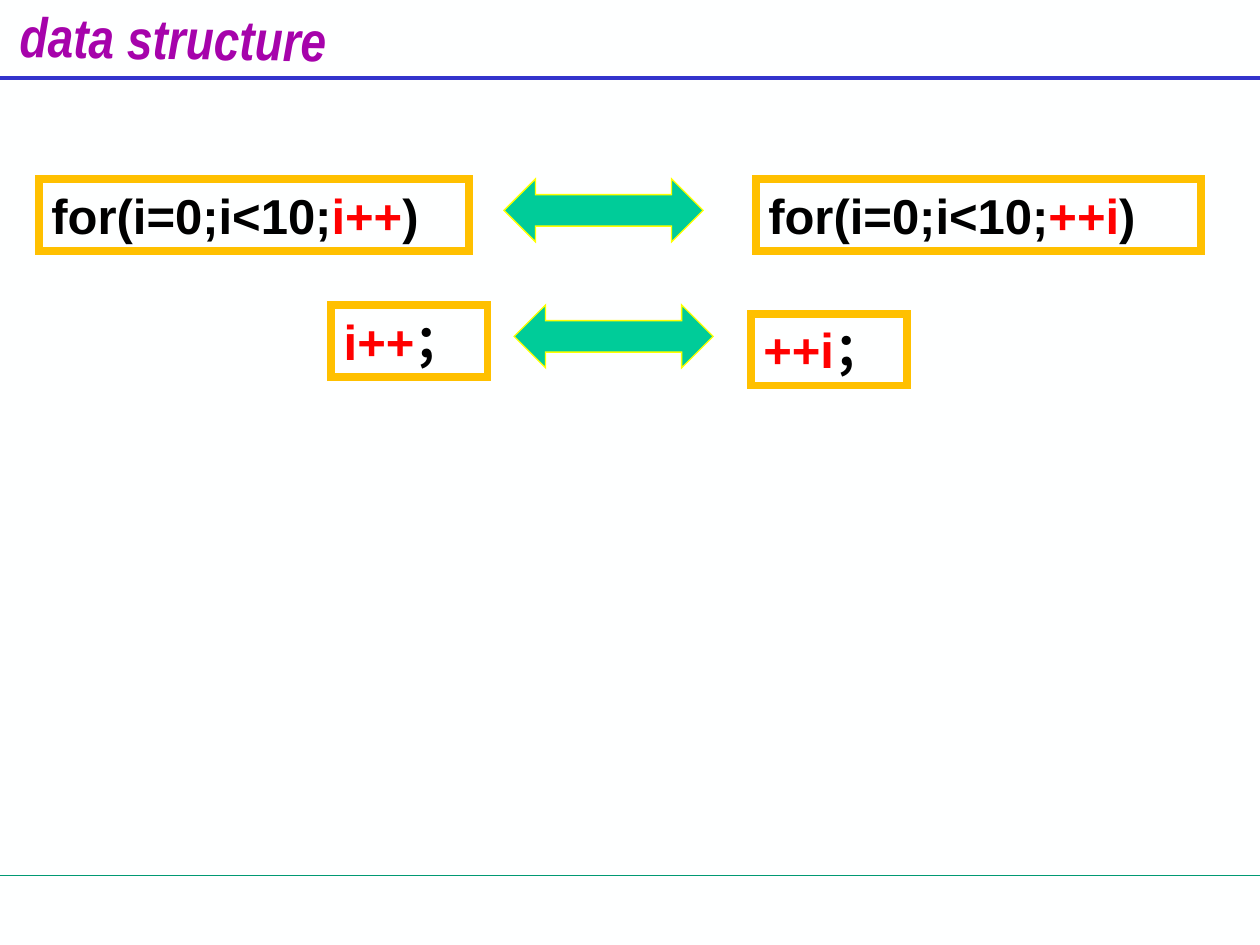
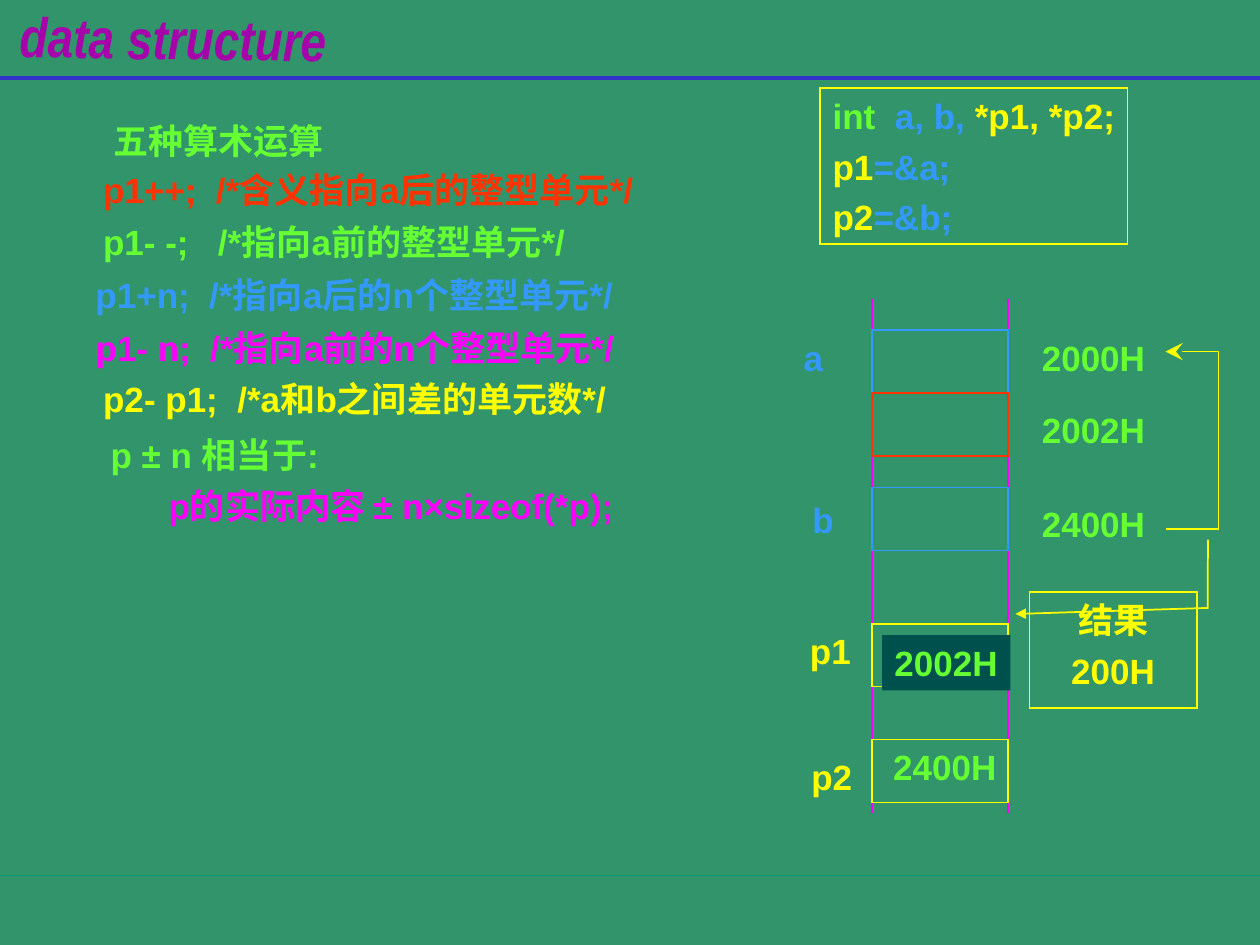
from lxml import etree
from pptx import Presentation
from pptx.dml.color import RGBColor
from pptx.enum.shapes import MSO_CONNECTOR, MSO_SHAPE
from pptx.enum.text import MSO_ANCHOR, MSO_AUTO_SIZE, PP_ALIGN
from pptx.oxml.ns import qn
from pptx.util import Inches, Pt

STRAIGHT = MSO_CONNECTOR.STRAIGHT
RECTANGLE = MSO_SHAPE.RECTANGLE
DOUBLE_ARROW = MSO_SHAPE.LEFT_RIGHT_ARROW
CALLOUT = MSO_SHAPE.LINE_CALLOUT_2
TOP = MSO_ANCHOR.TOP
GROW = MSO_AUTO_SIZE.SHAPE_TO_FIT_TEXT
FIXED = MSO_AUTO_SIZE.NONE
LEFT, CENTER = PP_ALIGN.LEFT, PP_ALIGN.CENTER

WHITE = RGBColor(0xFE, 0xFF, 0xFF)
BOARD = RGBColor(0x32, 0x94, 0x6A)
NAVY = RGBColor(0x33, 0x33, 0xCC)
PURPLE = RGBColor(0xA6, 0x03, 0xAB)
TEAL = RGBColor(0x00, 0x99, 0x73)
BLACK = RGBColor(0x00, 0x00, 0x00)
RED = RGBColor(0xFF, 0x00, 0x00)
AMBER = RGBColor(0xFF, 0xC0, 0x00)
MINT = RGBColor(0x00, 0xCC, 0x99)
YELLOW = RGBColor(0xFF, 0xFF, 0x00)
GREEN = RGBColor(0x66, 0xFF, 0x33)
BLUE = RGBColor(0x33, 0x99, 0xFF)
MAGENTA = RGBColor(0xFF, 0x00, 0xFF)
ORANGE = RGBColor(0xFF, 0x33, 0x00)
DARK = RGBColor(0x00, 0x50, 0x4E)

TITLE = "data structure"

# Slide 1: left, top, width, wrap, runs
LOOP_BOXES = [
    (0.31, 1.42, 3.41, True, [("for(i=0;i<10;", BLACK), ("i++", RED), (")", BLACK)]),
    (6, 1.42, 3.53, True, [("for(i=0;i<10;", BLACK), ("++i", RED), (")", BLACK)]),
    (2.63, 2.42, 1.24, False, [("i++", RED), ("；", BLACK)]),
    (5.96, 2.49, 1.24, False, [("++i", RED), ("；", BLACK)]),
]
EQUIVALENCE_ARROWS = [(4, 1.42), (4.08, 2.42)]

# Slide 2: left, top, width, text, colour
OPERATIONS = [
    (0.8, 0.9, 1.87, "五种算术运算", GREEN),
    (0.72, 1.29, 4.67, "p1++;  /*含义指向a后的整型单元*/", ORANGE),
    (0.72, 1.7, 4.13, "p1- -;   /*指向a前的整型单元*/", GREEN),
    (0.66, 2.12, 4.7, "p1+n;  /*指向a后的n个整型单元*/", BLUE),
    (0.66, 2.54, 4.71, "p1- n;  /*指向a前的n个整型单元*/", MAGENTA),
    (0.72, 2.95, 4.45, "p2- p1;  /*a和b之间差的单元数*/", YELLOW),
]
MEANING = [[("p ± n 相当于:", GREEN)],
           [("p的实际内容 ± n×sizeof(*p);", MAGENTA)]]
DECLARATION = [
    [("int  ", GREEN), ("a, b, ", BLUE), ("*p1, *p2;", YELLOW)],
    [("p1", YELLOW), ("=&a;", BLUE)],
    [("p2", YELLOW), ("=&b;", BLUE)],
]
RESULT = [[("结果", YELLOW)], [("200H", YELLOW)]]

MEMORY_LEFT, MEMORY_RIGHT = 6.92, 8
MEMORY_TOP, MEMORY_BOTTOM = 2.37, 6.45
CELL_H = 0.5
CELLS = [(2.62, BLUE), (3.87, BLUE), (4.95, YELLOW), (5.87, YELLOW), (3.12, ORANGE)]
MEMORY_LABELS = [
    (6.28, 2.62, 0.35, "a", BLUE),
    (6.35, 3.91, 0.37, "b", BLUE),
    (6.33, 4.95, 0.52, "p1", YELLOW),
    (6.34, 5.95, 0.52, "p2", YELLOW),
    (8.17, 2.62, 1.02, "2000H", GREEN),
    (8.17, 3.19, 1.02, "2002H", GREEN),
    (8.17, 3.94, 1.02, "2400H", GREEN),
    (6.99, 5.87, 1.02, "2400H", GREEN),
]
LABEL_SLACK = 0.1  # spare width that keeps every label on one line
BRACKET = [(9.25, 2.79), (9.67, 2.79), (9.67, 4.2), (9.25, 4.2)]
CALLOUT_BENDS = (0.188, -0.083, 0.136, 1.064, -0.453, 1.066)


def inches(*values):
    return [Inches(v) for v in values]


def set_outline(sp, color, width, fill=None):
    """Give a shape its square-cornered line, and a fill or none."""
    sp.line.color.rgb = color
    sp.line.width = Pt(width)
    etree.SubElement(sp.line._get_or_add_ln(), qn("a:miter"), lim="800000")
    if fill is None:
        sp.fill.background()
    else:
        sp.fill.solid()
        sp.fill.fore_color.rgb = fill


def add_head(sp, kind, size="med"):
    """Put an arrowhead at the start of a shape's line."""
    ln = sp.line._get_or_add_ln()
    etree.SubElement(ln, qn("a:headEnd"), type=kind, w=size, len=size)


def add_line(slide, x1, y1, x2, y2, color, width):
    line = slide.shapes.add_connector(STRAIGHT, *inches(x1, y1, x2, y2))
    line.line.color.rgb = color
    line.line.width = Pt(width)
    etree.SubElement(line._element.spPr, qn("a:effectLst"))


def add_preset(slide, kind, at, color, width, fill=None):
    sp = slide.shapes.add_shape(kind, *inches(*at))
    sp.shadow.inherit = False
    set_outline(sp, color, width, fill)
    return sp


def write(sp, paragraphs, size=20, font="Arial", align=LEFT, wrap=False, fit=GROW):
    """Fill a shape with paragraphs, each a list of (text, colour) runs."""
    tf = sp.text_frame
    tf.word_wrap = wrap
    tf.auto_size = fit
    tf.vertical_anchor = TOP
    for i, runs in enumerate(paragraphs):
        p = tf.add_paragraph() if i else tf.paragraphs[0]
        p.alignment = align
        if i:
            p.space_before = Pt(5)
        for text, color in runs:
            r = p.add_run()
            r.text = text
            r.font.size = Pt(size)
            r.font.name = font
            r.font.bold = True
            r.font.color.rgb = color


def add_text(slide, left, top, width, paragraphs, height=0.44, **style):
    sp = slide.shapes.add_textbox(*inches(left, top, width, height))
    write(sp, paragraphs, **style)
    return sp


def add_slide(prs, background):
    """Add a slide with the background, title and rules that all slides share."""
    slide = prs.slides.add_slide(prs.slide_layouts[6])
    slide.background.fill.solid()
    slide.background.fill.fore_color.rgb = background
    add_line(slide, 0, 0.62, 10, 0.62, NAVY, 2.25)
    title = add_text(slide, 0.06, -0.02, 2.63, [[(TITLE, PURPLE)]], height=0.54,
                     size=32, font="Arial Narrow", fit=FIXED)
    title.rotation = 0.8
    title.text_frame.paragraphs[0].runs[0].font.italic = True
    add_line(slide, 0, 6.95, 10, 6.95, TEAL, 0.75)
    return slide


def build_increment_slide(prs):
    slide = add_slide(prs, WHITE)
    for left, top, width, wrap, runs in LOOP_BOXES:
        box = add_text(slide, left, top, width, [runs], height=0.57, size=28,
                       wrap=wrap, fit=FIXED)
        set_outline(box, AMBER, 4.5)
    for left, top in EQUIVALENCE_ARROWS:
        add_preset(slide, DOUBLE_ARROW, (left, top, 1.58, 0.5), YELLOW, 0.75, MINT)


def build_pointer_slide(prs):
    slide = add_slide(prs, BOARD)
    declaration = add_text(slide, 6.51, 0.7, 2.44, DECLARATION, height=1.24, fit=FIXED)
    set_outline(declaration, YELLOW, 1)

    for x in (MEMORY_LEFT, MEMORY_RIGHT):
        add_line(slide, x, MEMORY_TOP, x, MEMORY_BOTTOM, MAGENTA, 1)
    for top, color in CELLS:
        at = (MEMORY_LEFT, top, MEMORY_RIGHT - MEMORY_LEFT, CELL_H)
        add_preset(slide, RECTANGLE, at, color, 1)
    for left, top, width, text, color in OPERATIONS + MEMORY_LABELS:
        add_text(slide, left, top, width + LABEL_SLACK, [[(text, color)]], fit=FIXED)

    new_value = add_text(slide, 7, 5.04, 1.02, [[("2002H", GREEN)]], fit=FIXED)
    new_value.fill.solid()
    new_value.fill.fore_color.rgb = DARK

    start, *rest = [inches(x, y) for x, y in BRACKET]
    builder = slide.shapes.build_freeform(*start)
    builder.add_line_segments(rest, close=False)
    bracket = builder.convert_to_shape()
    bracket.shadow.inherit = False
    set_outline(bracket, YELLOW, 1)
    add_head(bracket, "stealth", "lg")

    callout = add_preset(slide, CALLOUT, (8.17, 4.7, 1.33, 0.92), YELLOW, 1)
    for i, bend in enumerate(CALLOUT_BENDS):
        callout.adjustments[i] = bend
    add_head(callout, "triangle")
    write(callout, RESULT, align=CENTER, wrap=True, fit=FIXED)

    meaning = add_text(slide, 0.78, 3.39, 4.46 + LABEL_SLACK, MEANING, height=0.84,
                       fit=FIXED)
    pPr = meaning.text_frame.paragraphs[1]._p.get_or_add_pPr()
    pPr.set("marL", str(Inches(0.46)))


def main():
    prs = Presentation()
    prs.slide_width, prs.slide_height = inches(10, 7.5)
    build_increment_slide(prs)
    build_pointer_slide(prs)
    prs.save("out.pptx")


if __name__ == "__main__":
    main()
